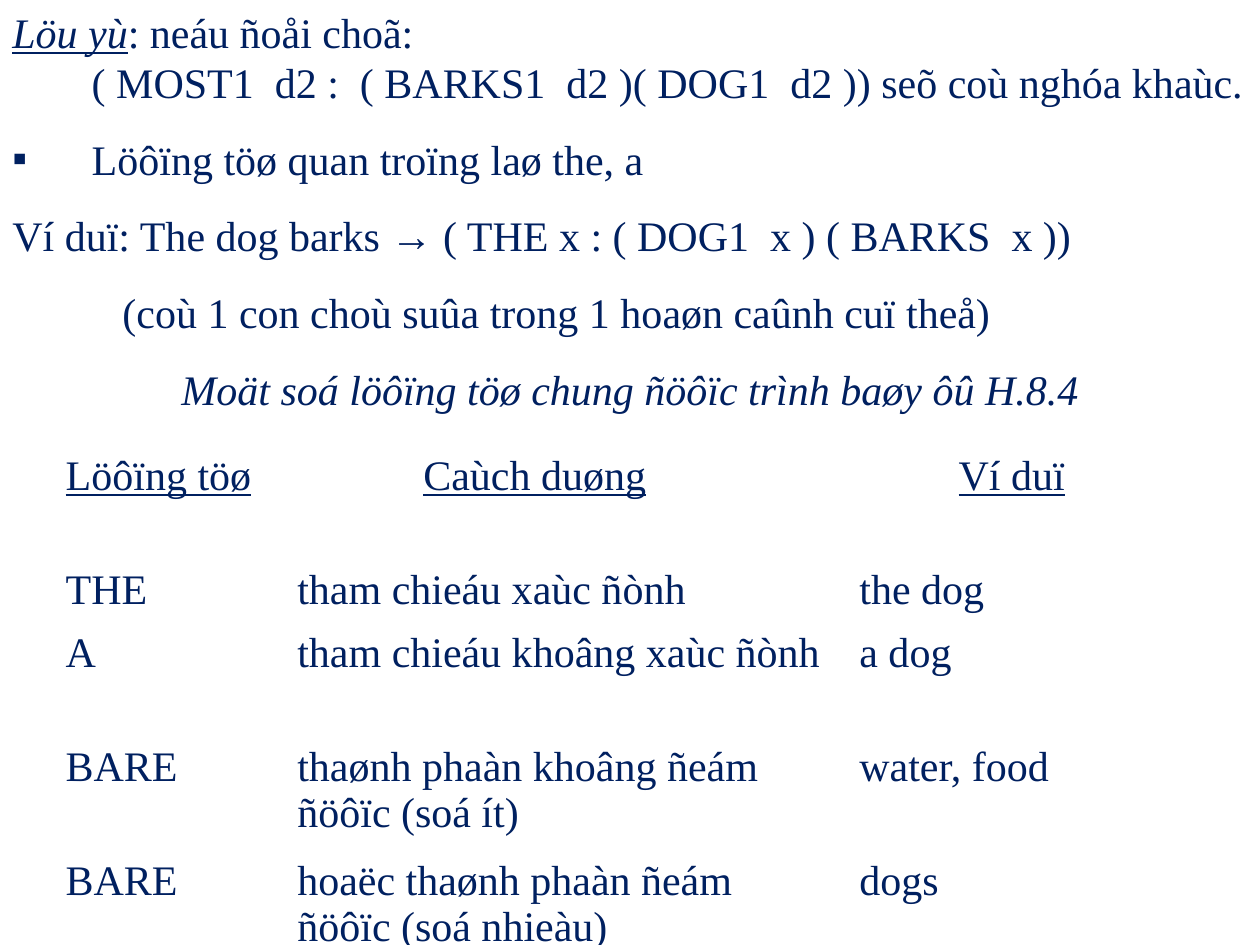
from lxml import etree
from pptx import Presentation
from pptx.dml.color import RGBColor
from pptx.enum.text import MSO_AUTO_SIZE, PP_ALIGN
from pptx.oxml.ns import qn
from pptx.util import Cm, Pt

CENTER = PP_ALIGN.CENTER
GROW = MSO_AUTO_SIZE.SHAPE_TO_FIT_TEXT


def color(value):
    return RGBColor.from_string(value)


class SlideWriter:
    font = "Times New Roman"
    symbol_font = "Arial"
    ink = "002060"
    size = 24

    def __init__(self, slide):
        self.slide = slide

    def add_span(self, para, text, italic=False, underline=False, font=None):
        span = para.add_run()
        span.text = text
        span.font.name = font or self.font
        span.font.size = Pt(self.size)
        span.font.color.rgb = color(self.ink)
        span.font.italic = italic
        span.font.underline = underline

    def set_indent(self, para, left, hanging=0):
        properties = para._p.get_or_add_pPr()
        properties.set("marL", str(Cm(left)))
        properties.set("indent", str(-Cm(hanging)))

    def set_bullet(self, para, symbol):
        properties = para._p.get_or_add_pPr()
        bullet_color = etree.SubElement(properties, qn("a:buClr"))
        etree.SubElement(bullet_color, qn("a:srgbClr")).set("val", self.ink)
        etree.SubElement(properties, qn("a:buFont")).set("typeface", self.symbol_font)
        etree.SubElement(properties, qn("a:buChar")).set("char", symbol)

    def add_text(self, left, top, width, height, paragraphs):
        box = self.slide.shapes.add_textbox(Cm(left), Cm(top), Cm(width), Cm(height))
        frame = box.text_frame
        frame.word_wrap = True
        frame.auto_size = GROW
        for index, (spans, layout) in enumerate(paragraphs):
            para = frame.add_paragraph() if index else frame.paragraphs[0]
            para.alignment = layout.get("align")
            if "before" in layout:
                para.space_before = Pt(layout["before"])
            self.set_indent(para, layout.get("left", 0), layout.get("hanging", 0))
            if "bullet" in layout:
                self.set_bullet(para, layout["bullet"])
            for text, style in spans:
                self.add_span(para, text, **style)

    def add_table(self, left, top, widths, heights, rows):
        frame = self.slide.shapes.add_table(
            len(rows), len(widths), Cm(left), Cm(top), Cm(sum(widths)), Cm(sum(heights)))
        table = frame.table
        table.first_row = False
        table.horz_banding = False
        for column, width in zip(table.columns, widths):
            column.width = Cm(width)
        for row, height in zip(table.rows, heights):
            row.height = Cm(height)
        for row_index, texts in enumerate(rows):
            for column_index, text in enumerate(texts):
                cell = table.cell(row_index, column_index)
                cell.fill.background()
                para = cell.text_frame.paragraphs[0]
                self.add_span(para, text, underline=row_index == 0)
        properties = table._tbl.tblPr
        properties.find(qn("a:tableStyleId")).text = "{2D5ABB26-0587-4C30-8999-92F81FD0307C}"
        return table


def main():
    deck = Presentation()
    deck.slide_width = Cm(25.4)
    deck.slide_height = Cm(19.05)
    page = SlideWriter(deck.slides.add_slide(deck.slide_layouts[6]))

    notes = [
        ([("Löu yù", {"italic": True, "underline": True}), (": neáu ñoåi choã:", {})], {}),
        ([("( MOST1  d2 :  ( BARKS1  d2 )( DOG1  d2 )) seõ coù nghóa khaùc.", {})],
         {"left": 1.6}),
        ([("Löôïng töø quan troïng laø the, a", {})],
         {"left": 1.6, "hanging": 1.6, "bullet": "▪", "before": 15}),
        ([("Ví duï: The dog barks ", {}), ("→", {"font": page.symbol_font}),
          (" ( THE x : ( DOG1  x ) ( BARKS  x ))", {})], {"before": 15}),
        ([("(coù 1 con choù suûa trong 1 hoaøn caûnh cuï theå)", {})],
         {"left": 2.22, "before": 15}),
        ([("Moät soá löôïng töø chung ñöôïc trình baøy ôû H.8.4", {"italic": True})],
         {"align": CENTER, "before": 15}),
    ]
    page.add_text(0, 0, 25.4, 11.02, notes)

    quantifiers = [
        ("Löôïng töø", "Caùch duøng", "Ví duï"),
        ("THE", "tham chieáu xaùc ñònh", "the dog"),
        ("A", "tham chieáu khoâng xaùc ñònh", "a dog"),
        ("BARE", "thaønh phaàn khoâng ñeám ñöôïc (soá ít)", "water, food"),
        ("BARE", "hoaëc thaønh phaàn ñeám ñöôïc (soá nhieàu)", "dogs"),
    ]
    tall, short = 2.3, 1.27
    table = page.add_table(1.07, 9, [4.67, 11.33, 6.65],
                           [tall, short, tall, tall, tall], quantifiers)
    page.set_indent(table.cell(0, 1).text_frame.paragraphs[0], 2.54)
    table.cell(0, 2).text_frame.paragraphs[0].alignment = CENTER

    deck.save("out.pptx")


if __name__ == "__main__":
    main()
